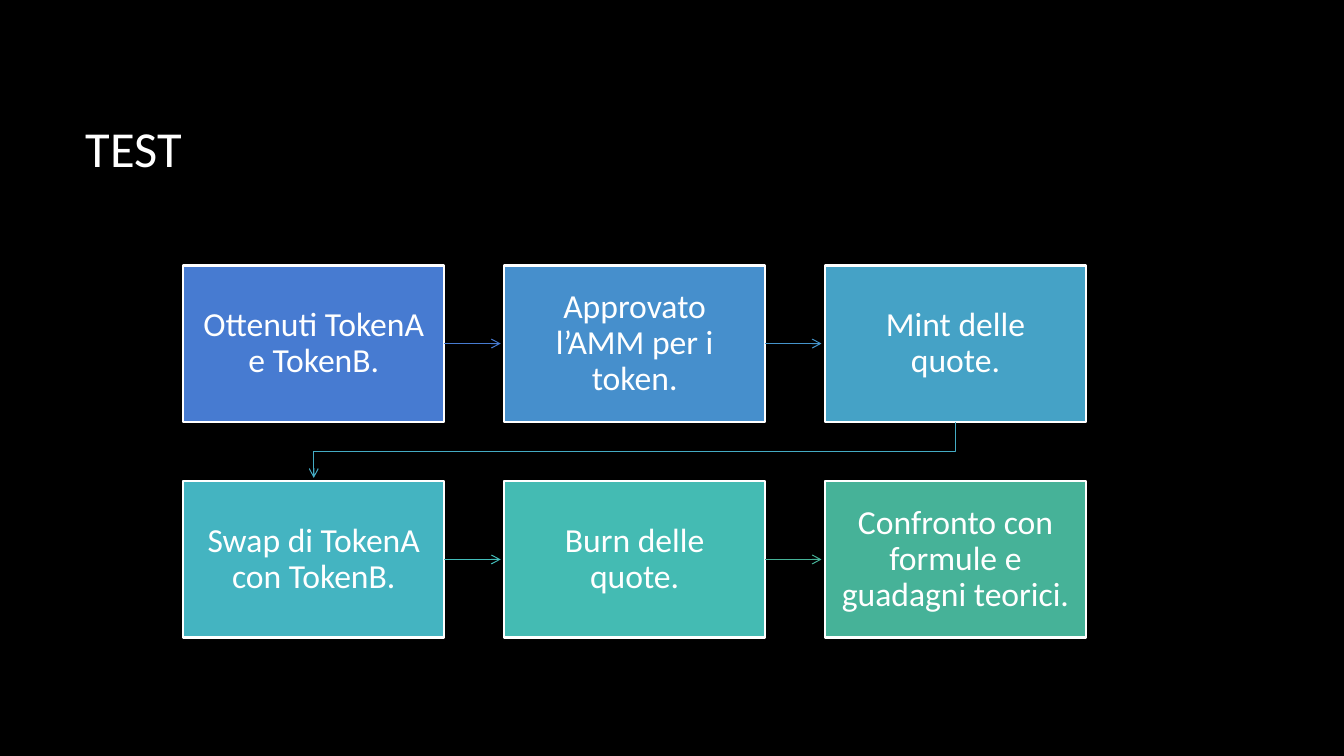
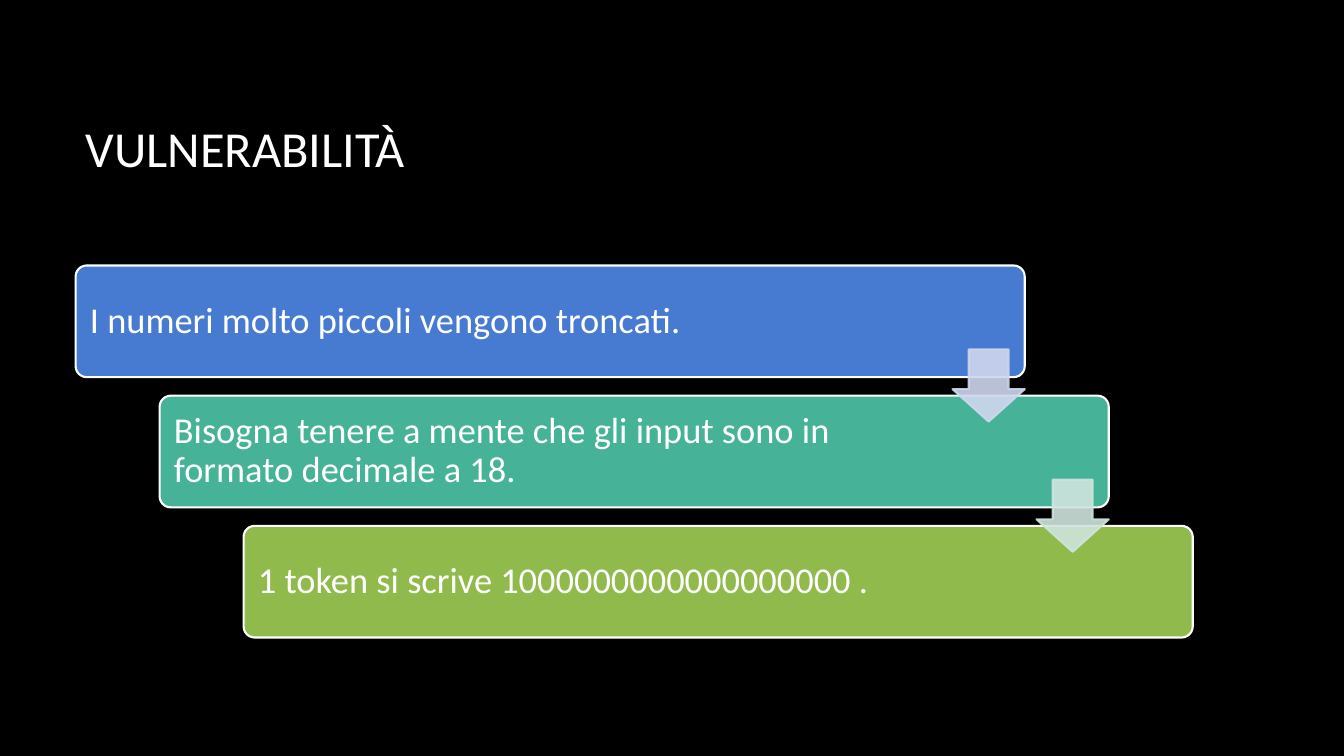
from lxml import etree
from pptx import Presentation
from pptx import util as u
from pptx.dml.color import RGBColor
from pptx.enum import shapes, text
from pptx.oxml.ns import qn

BLACK = RGBColor(0x00, 0x00, 0x00)
WHITE = RGBColor(0xFF, 0xFF, 0xFF)
BLUE = RGBColor(0x47, 0x7B, 0xD1)
AZURE = RGBColor(0x46, 0x8F, 0xCC)
SKY = RGBColor(0x45, 0xA2, 0xC6)
CYAN = RGBColor(0x44, 0xB4, 0xC1)
TEAL = RGBColor(0x44, 0xBB, 0xB3)
GREEN = RGBColor(0x46, 0xB2, 0x98)
LIME = RGBColor(0x90, 0xBA, 0x4C)
PALE_BLUE = RGBColor(0xCF, 0xD7, 0xEE)
PALE_GREEN = RGBColor(0xCF, 0xE4, 0xDD)
LINK_AZURE = RGBColor(0x45, 0x94, 0xCB)
LINK_CYAN = RGBColor(0x44, 0xAB, 0xC4)
LINK_TEAL = RGBColor(0x43, 0xBD, 0xBA)

SHAPE = shapes.MSO_SHAPE
LEFT, CENTER = text.PP_ALIGN.LEFT, text.PP_ALIGN.CENTER


class Deck:
    COLS, ROWS = 16, 9
    FONT = {"name": "Calibri"}
    FRAME = {"word_wrap": True, "vertical_anchor": text.MSO_ANCHOR.MIDDLE}
    SIDES = ("left", "top", "right", "bottom")

    def __init__(self):
        self.prs = Presentation()
        self.prs.slide_width = u.Inches(13.33)
        self.prs.slide_height = u.Inches(7.5)
        self.s = None

    def x(self, cols):
        return round(self.prs.slide_width * cols / self.COLS)

    def y(self, rows):
        return round(self.prs.slide_height * rows / self.ROWS)

    def area(self, col, row, cols, rows):
        return self.x(col), self.y(row), self.x(cols), self.y(rows)

    def slide(self, title):
        self.s = self.prs.slides.add_slide(self.prs.slide_layouts[6])
        fill = self.s.background.fill
        fill.solid()
        fill.fore_color.rgb = BLACK
        sp = self.s.shapes.add_textbox(*self.area(0.9, 0.8, 13.3, 1.9))
        self.label(sp, title, 36)

    def label(self, sp, words, size, align=LEFT, insets=(), spacing=1.0):
        tf = sp.text_frame
        margins = {f"margin_{side}": u.Inches(v)
                   for side, v in zip(self.SIDES, insets)}
        for name, value in {**self.FRAME, **margins}.items():
            setattr(tf, name, value)
        p = tf.paragraphs[0]
        p.alignment, p.line_spacing = align, spacing
        r = p.add_run()
        r.text = words
        for name, value in {**self.FONT, "size": u.Pt(size)}.items():
            setattr(r.font, name, value)
        r.font.color.rgb = WHITE

    def shape(self, kind, area, color, line=WHITE, adj=(), alpha=None):
        sp = self.s.shapes.add_shape(kind, *self.area(*area))
        sp.shadow.inherit = False
        sp.fill.solid()
        sp.fill.fore_color.rgb = color
        sp.line.color.rgb = line
        sp.line.width = u.Pt(1.5)
        for i, value in enumerate(adj):
            sp.adjustments[i] = value
        if alpha:
            for clr in sp._element.spPr.iter(qn("a:srgbClr")):
                etree.SubElement(clr, qn("a:alpha"), val=str(alpha * 1000))
        return sp

    def box(self, area, color, words):
        sp = self.shape(SHAPE.RECTANGLE, area, color)
        self.label(sp, words, 24, CENTER, [0.13] * 4, 0.9)

    def bar(self, area, color, words):
        sp = self.shape(SHAPE.ROUNDED_RECTANGLE, area, color, adj=[0.1])
        self.label(sp, words, 26, LEFT, [0.11, 0.11, 1.67, 0.11], 0.9)

    def down_arrow(self, area, color):
        self.shape(SHAPE.DOWN_ARROW, area, color, color, [0.55, 0.45], 90)

    def link(self, points, color):
        pts = [(self.x(c), self.y(r)) for c, r in points]
        if len(pts) == 2:
            sp = self.s.shapes.add_connector(
                shapes.MSO_CONNECTOR.STRAIGHT, *pts[0], *pts[1])
        else:
            outline = self.s.shapes.build_freeform(*pts[0])
            outline.add_line_segments(pts[1:], close=False)
            sp = outline.convert_to_shape()
            sp.fill.background()
        sp.line.color.rgb = color
        sp.line.width = u.Pt(0.75)
        ln = sp._element.spPr.find(qn("a:ln"))
        etree.SubElement(ln, qn("a:tailEnd"), type="arrow")
        etree.SubElement(sp._element.spPr, qn("a:effectLst"))


def test_slide(deck):
    steps = [
        ("Ottenuti TokenA e TokenB.", BLUE, BLUE),
        ("Approvato l’AMM per i token.", AZURE, LINK_AZURE),
        ("Mint delle quote.", SKY, LINK_CYAN),
        ("Swap di TokenA con TokenB.", CYAN, LINK_TEAL),
        ("Burn delle quote.", TEAL, GREEN),
        ("Confronto con formule e guadagni teorici.", GREEN, None),
    ]
    left, top, w, h = 2.18, 3.16, 3.11, 1.86
    per_row, gap, reach = 3, 0.71, 0.67
    deck.slide("TEST")
    for i, (words, color, link_color) in enumerate(steps):
        row, col = divmod(i, per_row)
        x, y = left + col * (w + gap), top + row * (h + gap)
        deck.box((x, y, w, h), color, words)
        if link_color is None:
            continue
        if col < per_row - 1:
            points = [(x + w, y + h / 2), (x + w + reach, y + h / 2)]
        else:
            start, end, turn = x + w / 2, left + w / 2, y + h + gap / 2
            points = [(start, y + h), (start, turn),
                      (end, turn), (end, y + h + reach)]
        deck.link(points, link_color)


def vulnerability_slide(deck):
    bars = [
        ("I numeri molto piccoli vengono troncati.", BLUE),
        ("Bisogna tenere a mente che gli input sono in formato decimale a 18.",
         GREEN),
        ("1 token si scrive 1000000000000000000 .", LIME),
    ]
    left, top, w, h = 0.9, 3.16, 11.3, 1.33
    dx, dy, arrow = 1, 1.55, 0.86
    deck.slide("VULNERABILITÀ")
    for i, (words, color) in enumerate(bars):
        deck.bar((left + i * dx, top + i * dy, w, h), color, words)
    for i, color in enumerate((PALE_BLUE, PALE_GREEN)):
        deck.down_arrow((left + w - arrow + i * dx, top + 1 + i * dy,
                         arrow, arrow), color)


def main():
    deck = Deck()
    test_slide(deck)
    vulnerability_slide(deck)
    deck.prs.save("out.pptx")


if __name__ == "__main__":
    main()
